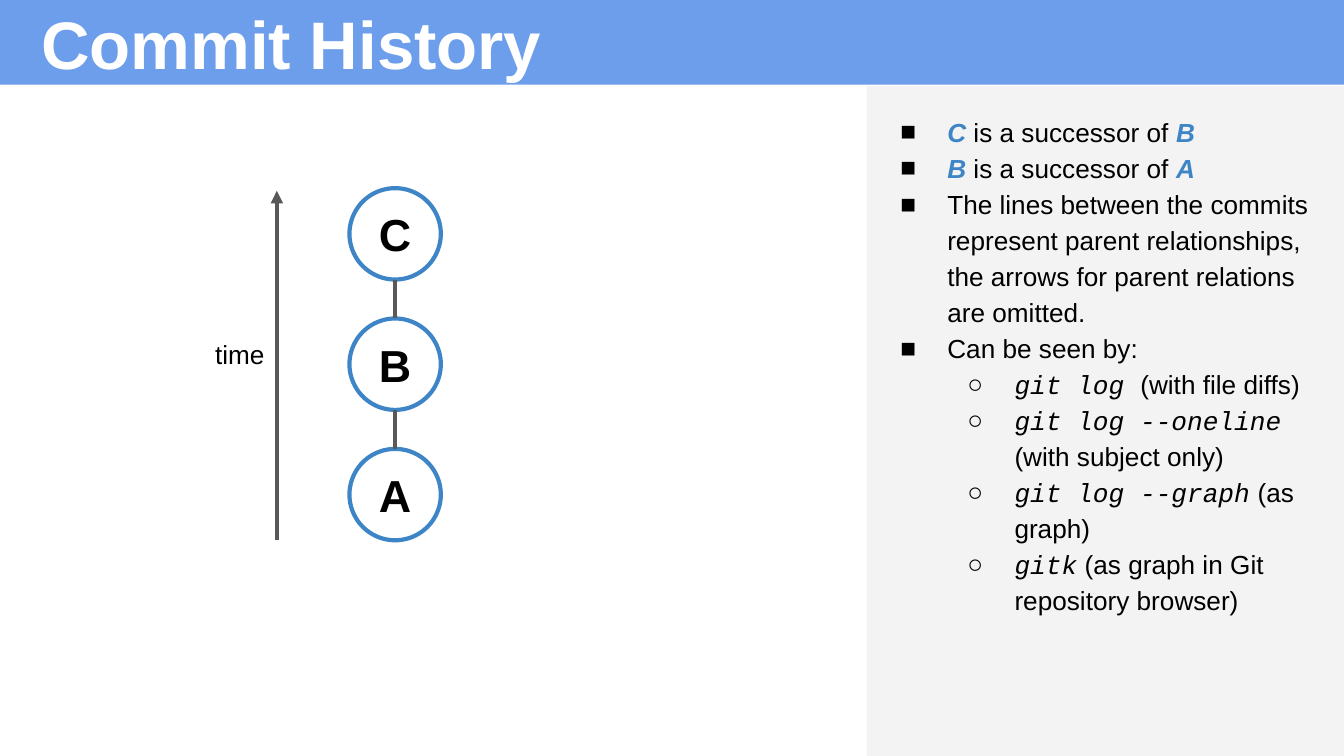
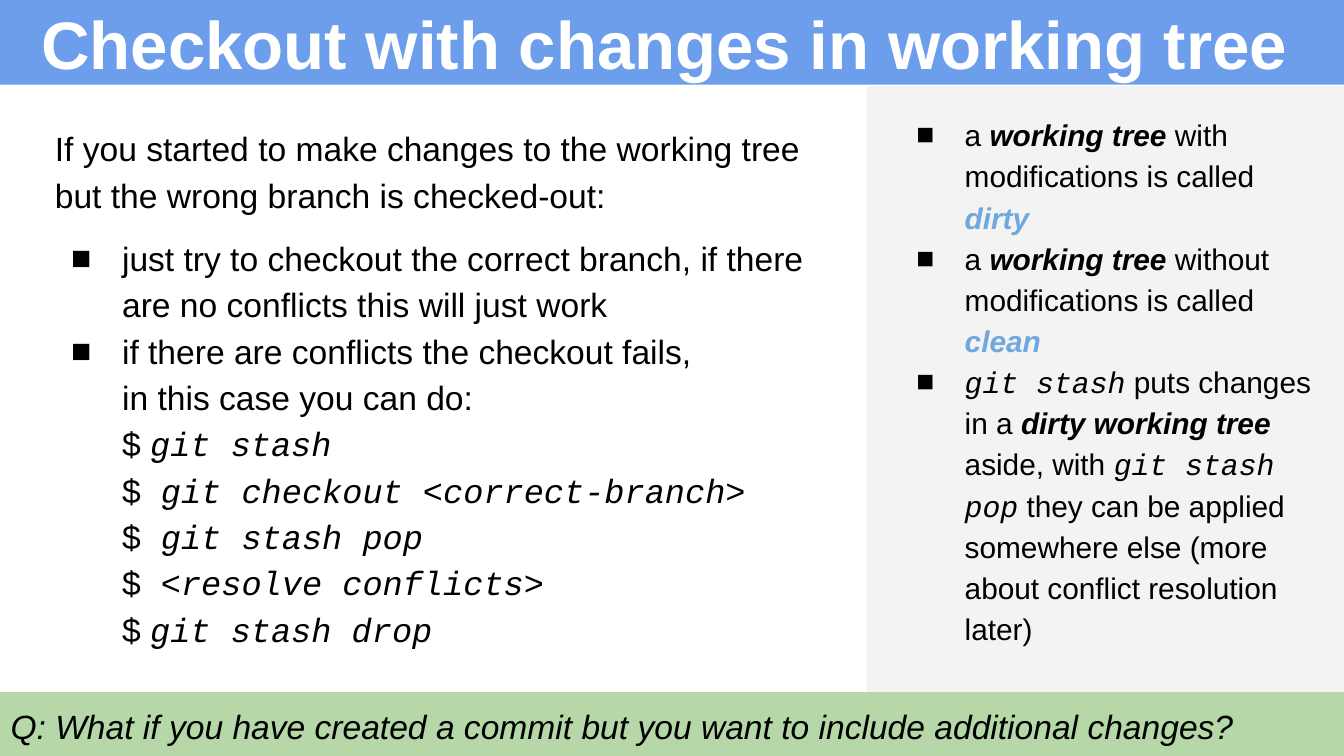
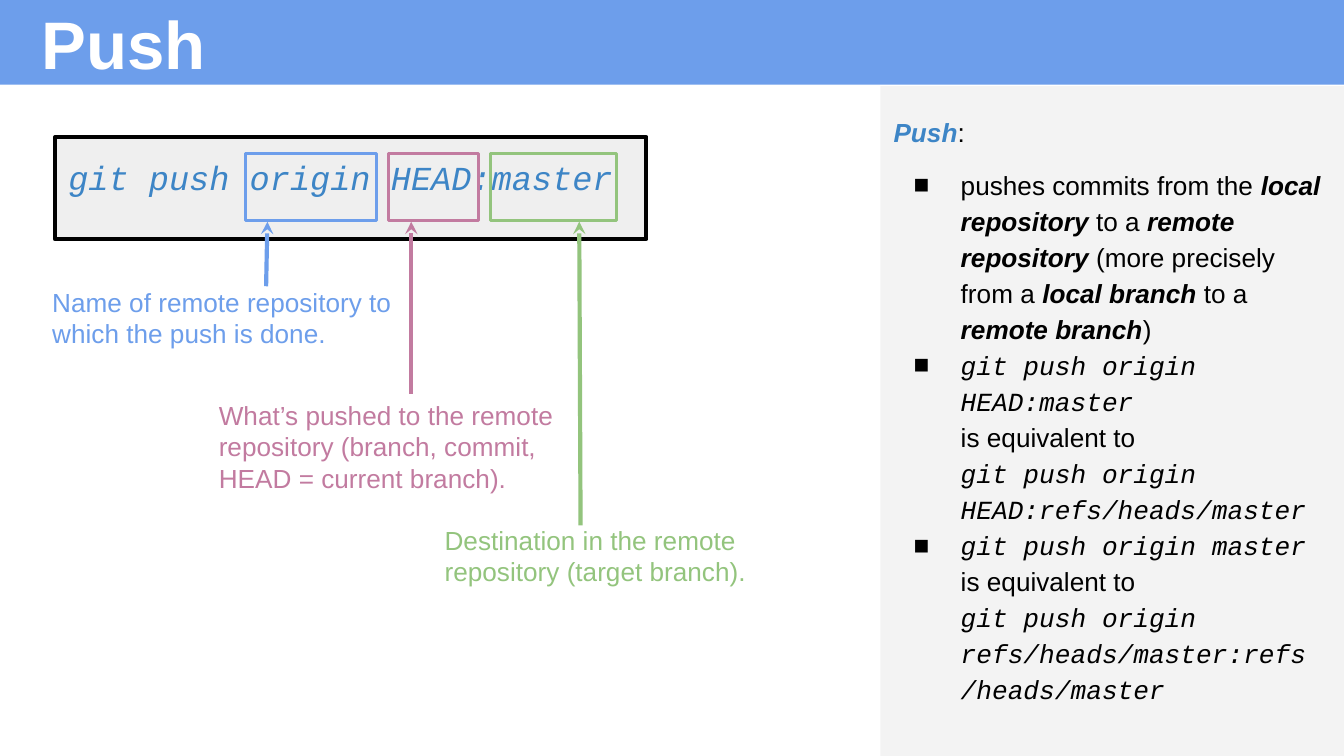
"""Build three Git training slides: commit history, checkout and push."""
from copy import deepcopy
from dataclasses import dataclass, replace

from lxml.etree import SubElement
from pptx import Presentation
from pptx.dml.color import RGBColor
from pptx.enum.shapes import MSO_CONNECTOR as Connector, MSO_SHAPE as Shape
from pptx.enum.text import MSO_ANCHOR as Anchor, PP_ALIGN as Align
from pptx.oxml.ns import qn
from pptx.util import Inches, Pt

BLACK = RGBColor(0x00, 0x00, 0x00)
WHITE = RGBColor(0xFF, 0xFF, 0xFF)
BAND_BLUE = RGBColor(0x6D, 0x9E, 0xEB)
COMMIT_BLUE = RGBColor(0x3D, 0x85, 0xC6)
STATE_BLUE = RGBColor(0x6F, 0xA8, 0xDC)
PANEL_GRAY = RGBColor(0xF3, 0xF3, 0xF3)
COMMAND_GRAY = RGBColor(0xEF, 0xEF, 0xEF)
LINE_GRAY = RGBColor(0x59, 0x59, 0x59)
QUESTION_GREEN = RGBColor(0xB6, 0xD7, 0xA8)
SOURCE_PINK = RGBColor(0xC2, 0x7B, 0xA0)
TARGET_GREEN = RGBColor(0x93, 0xC4, 0x7D)

BULLETS = {1: "■", 2: "○"}
HANGING = {14: 0.35, 16: 0.36, 18: 0.38}


@dataclass(frozen=True)
class Style:
    """Look of a run of text."""
    font: str = "Arial"
    bold: bool = False
    italic: bool = False
    color: RGBColor = BLACK


PLAIN = Style()
BOLD = Style(bold=True)
ITALIC = Style(italic=True)
TERM = Style(bold=True, italic=True)
CODE = Style(font="Courier New", italic=True)
KEY = replace(TERM, color=COMMIT_BLUE)
STATE = replace(TERM, color=STATE_BLUE)


def format_run(run, size, style):
    """Apply a style and size to a run."""
    run.font.name = style.font
    run.font.size = Pt(size)
    run.font.bold = style.bold
    run.font.italic = style.italic
    run.font.color.rgb = style.color


def add_runs(paragraph, text, size, style):
    """Append styled text, turning newlines into line breaks."""
    for index, line in enumerate(text.split("\n")):
        if index:
            paragraph.add_line_break()
            paragraph._p[-1].append(deepcopy(run._r.rPr))
        if line or not index:
            run = paragraph.add_run()
            run.text = line
            format_run(run, size, style)


def add_bullet(paragraph, level, size):
    """Give a paragraph a hanging bullet for its level."""
    paragraph.level = level - 1
    properties = paragraph._p.get_or_add_pPr()
    properties.set("marL", str(Inches(0.5 * level)))
    properties.set("indent", str(-Inches(HANGING[size])))
    color = SubElement(properties, qn("a:buClr"))
    SubElement(color, qn("a:srgbClr"), val=str(BLACK))
    SubElement(properties, qn("a:buSzPts"), val=str(size * 100))
    SubElement(properties, qn("a:buFont"), typeface=PLAIN.font)
    SubElement(properties, qn("a:buChar"), char=BULLETS[level])


def prepare_frame(shape, anchor):
    """Set wrapping, insets and anchor of a text frame."""
    frame = shape.text_frame
    frame.word_wrap = True
    frame.vertical_anchor = anchor
    frame.margin_left = frame.margin_right = Inches(0.1)
    frame.margin_top = frame.margin_bottom = Inches(0.1)
    return frame


def write_line(shape, text, size, style, align=Align.LEFT, anchor=Anchor.TOP):
    """Write a single-style paragraph into a shape."""
    frame = prepare_frame(shape, anchor)
    frame.text = text
    paragraph = frame.paragraphs[0]
    paragraph.alignment = align
    format_run(paragraph.runs[0], size, style)
    return paragraph


def add_box(slide, place):
    """Add a text box at left, top, width, height in inches."""
    return slide.shapes.add_textbox(*map(Inches, place))


def add_body(slide, place, size, items):
    """Add a text box of (level, runs) items; level 0 has no bullet."""
    frame = prepare_frame(add_box(slide, place), Anchor.TOP)
    previous = None
    for level, runs in items:
        first = previous is None
        paragraph = frame.paragraphs[0] if first else frame.add_paragraph()
        paragraph.line_spacing = 1.15
        paragraph.space_before = Pt(9 if previous == 0 else 0)
        if level:
            add_bullet(paragraph, level, size)
        for text, style in runs:
            add_runs(paragraph, text, size, style)
        previous = level


def add_figure(slide, kind, place, fill=None, line=None, width=2.25):
    """Add a preset shape with optional fill and outline."""
    figure = slide.shapes.add_shape(kind, *map(Inches, place))
    figure.shadow.inherit = False
    if fill is None:
        figure.fill.background()
    else:
        figure.fill.solid()
        figure.fill.fore_color.rgb = fill
    if line is None:
        figure.line.fill.background()
    else:
        figure.line.color.rgb = line
        figure.line.width = Pt(width)
    return figure


def add_line(slide, start, end, color, head=None):
    """Add a straight line, with an arrowhead at its end if asked."""
    line = slide.shapes.add_connector(
        Connector.STRAIGHT, *map(Inches, (*start, *end)))
    line.line.color.rgb = color
    line.line.width = Pt(2.25)
    if head:
        SubElement(line.line._get_or_add_ln(), qn("a:tailEnd"), type=head)
    SubElement(line._element.spPr, qn("a:effectLst"))


def add_page(deck, title, panel_left=6.45, title_width=7.14):
    """Add a slide with title band and gray side panel."""
    slide = deck.slides.add_slide(deck.slide_layouts[6])
    add_figure(slide, Shape.RECTANGLE, (0, 0, 10.01, 0.63), BAND_BLUE)
    heading = add_box(slide, (0.21, -0.1, title_width, 0.83))
    write_line(heading, title, 36, replace(BOLD, color=WHITE),
               anchor=Anchor.MIDDLE)
    add_figure(slide, Shape.RECTANGLE,
               (panel_left, 0.64, 10 - panel_left, 4.99), PANEL_GRAY)
    return slide


def add_history(deck):
    """Add the commit history slide."""
    slide = add_page(deck, "Commit History")
    top, pitch, diameter = 1.4, 0.97, 0.68
    center = 2.94
    for index, name in enumerate("CBA"):
        commit_top = top + index * pitch
        commit = add_figure(
            slide, Shape.OVAL,
            (center - diameter / 2, commit_top, diameter, diameter),
            line=COMMIT_BLUE)
        write_line(commit, name, 24, BOLD, Align.CENTER, Anchor.MIDDLE)
        if index:
            add_line(slide, (center, commit_top),
                     (center, commit_top - pitch + diameter), LINE_GRAY)
    add_line(slide, (2.06, 4.02), (2.06, 1.42), LINE_GRAY, "triangle")
    write_line(add_box(slide, (1.4, 2.42, 0.77, 0.39)), "time", 14, PLAIN,
               Align.CENTER)
    add_body(slide, (6.45, 0.73, 3.45, 4.62), 14, [
        (1, [("C", KEY), (" is a successor of ", PLAIN), ("B", KEY)]),
        (1, [("B", KEY), (" is a successor of ", PLAIN), ("A", KEY)]),
        (1, [("The lines between the commits represent parent relationships, "
              "the arrows for parent relations are omitted.", PLAIN)]),
        (1, [("Can be seen by:", PLAIN)]),
        (2, [("git log ", CODE), ("(with file diffs)", PLAIN)]),
        (2, [("git log --oneline", CODE), (" (with subject only)", PLAIN)]),
        (2, [("git log --graph", CODE), (" (as graph)", PLAIN)]),
        (2, [("gitk", CODE),
             (" (as graph in Git repository browser)", PLAIN)]),
    ])


def add_checkout(deck):
    """Add the slide on checkout with a dirty working tree."""
    slide = add_page(deck, "Checkout with changes in working tree",
                     title_width=10.33)
    add_body(slide, (6.58, 0.73, 3.36, 4.24), 16, [
        (1, [("a ", PLAIN), ("working tree ", TERM),
             ("with modifications is called ", PLAIN), ("dirty", STATE)]),
        (1, [("a ", PLAIN), ("working tree ", TERM),
             ("without modifications is called ", PLAIN), ("clean", STATE)]),
        (1, [("git stash", CODE), (" puts changes in a ", PLAIN),
             ("dirty working tree", TERM), (" aside, with ", PLAIN),
             ("git stash pop", CODE),
             (" they can be applied somewhere else "
              "(more about conflict resolution later)", PLAIN)]),
    ])
    add_body(slide, (0.31, 0.81, 5.91, 4.16), 18, [
        (0, [("If you started to make changes to the working tree "
              "but the wrong branch is checked-out:", PLAIN)]),
        (1, [("just try to checkout the correct branch, "
              "if there are no conflicts this will just work", PLAIN)]),
        (1, [("if there are conflicts the checkout fails,\n"
              "in this case you can do:\n$ ", PLAIN),
             ("git stash\n", CODE),
             ("$", PLAIN), (" git checkout <correct-branch>\n", CODE),
             ("$", PLAIN), (" git stash pop\n", CODE),
             ("$", PLAIN), (" <resolve conflicts>\n", CODE),
             ("$ ", PLAIN), ("git stash drop", CODE)]),
    ])
    add_figure(slide, Shape.RECTANGLE, (0, 5.15, 10, 0.48), QUESTION_GREEN)
    write_line(add_box(slide, (-0.02, 5.15, 9.32, 0.48)),
               "Q: What if you have created a commit but you want to include "
               "additional changes?", 18, ITALIC)


def add_argument(slide, color, left, width, start, end, note, place):
    """Frame a command argument and point to it from its explanation."""
    add_figure(slide, Shape.RECTANGLE, (left, 1.14, width, 0.5),
               line=color, width=1.5)
    add_line(slide, start, end, color, "stealth")
    write_line(add_box(slide, place), note, 14, replace(PLAIN, color=color))


def add_push(deck):
    """Add the slide explaining the push command."""
    slide = add_page(deck, "Push", panel_left=6.55)
    add_body(slide, (6.55, 0.73, 3.38, 4.78), 14, [
        (0, [("Push", KEY), (":", PLAIN)]),
        (1, [("pushes commits from the ", PLAIN), ("local repository", TERM),
             (" to a ", PLAIN), ("remote repository", TERM),
             (" (more precisely from a ", PLAIN), ("local branch", TERM),
             (" to a ", PLAIN), ("remote branch", TERM), (")", PLAIN)]),
        (1, [("git push origin HEAD:master\n", CODE),
             ("is equivalent to\n", PLAIN),
             ("git push origin HEAD:refs/heads/master", CODE)]),
        (1, [("git push origin master\n", CODE),
             ("is equivalent to\n", PLAIN),
             ("git push origin refs/heads/master:refs/heads/master", CODE)]),
    ])
    command = add_figure(slide, Shape.RECTANGLE, (0.41, 1.02, 4.4, 0.76),
                         COMMAND_GRAY, BLACK)
    syntax = write_line(command, "git push origin HEAD:master", 18,
                        replace(CODE, color=COMMIT_BLUE))
    syntax.line_spacing = 1.15
    add_argument(slide, BAND_BLUE, 1.83, 0.97, (1.98, 2.13), (1.99, 1.65),
                 "Name of remote repository to which the push is done.",
                 (0.29, 2.03, 3.06, 0.77))
    add_argument(slide, SOURCE_PINK, 2.89, 0.67, (3.06, 2.93), (3.06, 1.65),
                 "What’s pushed to the remote repository "
                 "(branch, commit, HEAD = current branch).",
                 (1.53, 2.87, 3.06, 0.93))
    add_argument(slide, TARGET_GREEN, 3.65, 0.94, (4.32, 3.91), (4.31, 1.65),
                 "Destination in the remote repository (target branch).",
                 (3.21, 3.8, 2.74, 0.69))


def main():
    """Build and save the deck."""
    deck = Presentation()
    deck.slide_width = Inches(10)
    deck.slide_height = deck.slide_width * 9 // 16
    add_history(deck)
    add_checkout(deck)
    add_push(deck)
    deck.save("out.pptx")


if __name__ == "__main__":
    main()
